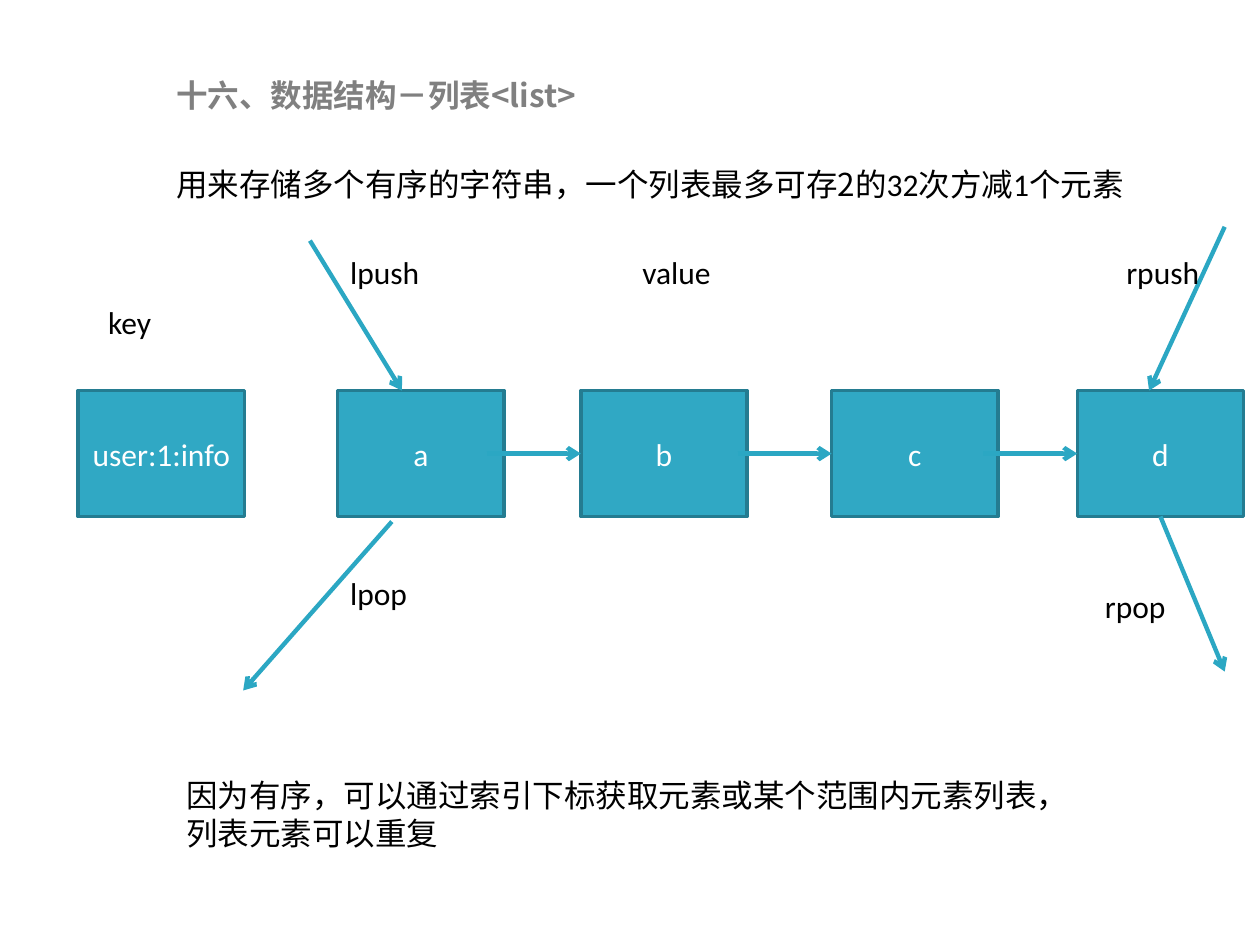
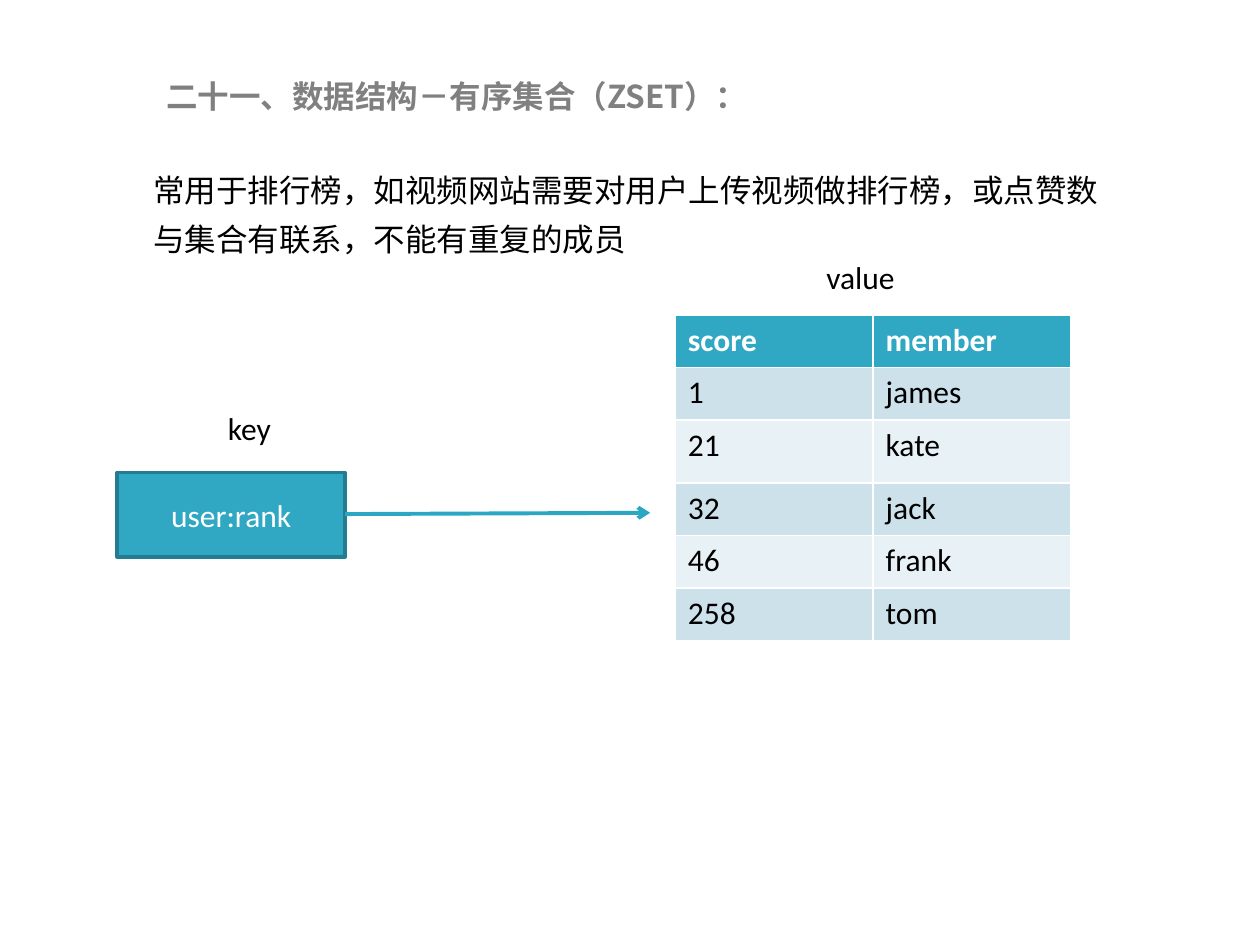
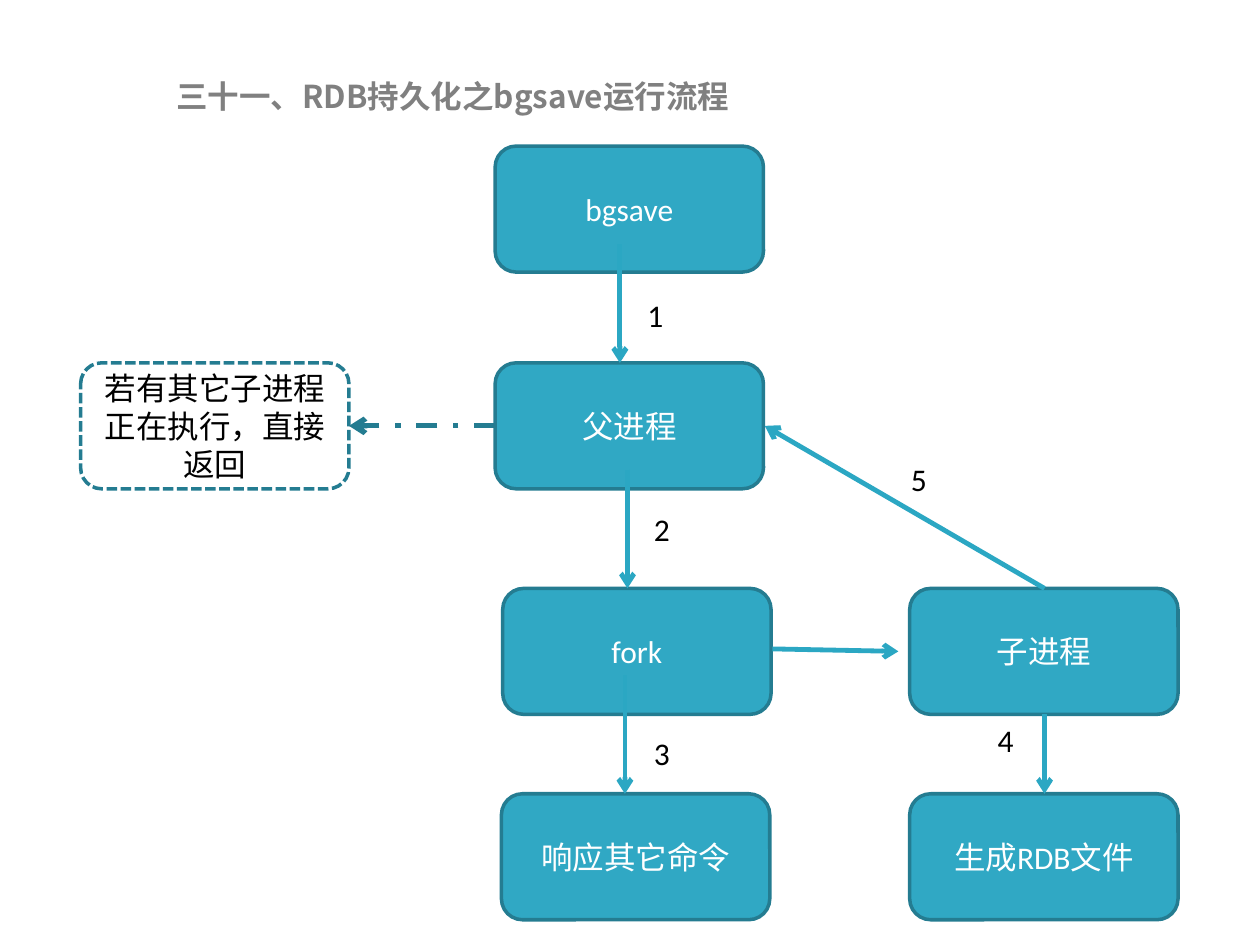
"""Builds three slides on list, sorted set and background save structures."""
from dataclasses import dataclass
from typing import Any, Optional

from lxml import etree
from pptx import Presentation
from pptx.dml.color import RGBColor
from pptx.enum.dml import MSO_LINE
from pptx.enum.shapes import MSO_CONNECTOR, MSO_SHAPE
from pptx.enum.text import MSO_ANCHOR, MSO_AUTO_SIZE, PP_ALIGN
from pptx.oxml.ns import qn
from pptx.util import Inches, Pt

RECT, ROUNDED = MSO_SHAPE.RECTANGLE, MSO_SHAPE.ROUNDED_RECTANGLE
STRAIGHT = MSO_CONNECTOR.STRAIGHT
SHORT_DASH, DASH_DOT = MSO_LINE.SQUARE_DOT, MSO_LINE.DASH_DOT
TOP, MIDDLE = MSO_ANCHOR.TOP, MSO_ANCHOR.MIDDLE
LEFT, CENTER = PP_ALIGN.LEFT, PP_ALIGN.CENTER
FIXED, GROW = MSO_AUTO_SIZE.NONE, MSO_AUTO_SIZE.SHAPE_TO_FIT_TEXT
COLUMNS, ROWS, TITLE_ONLY = 100, 75, 5


@dataclass(frozen=True)
class Theme:
    """Colours, fonts and sizes shared by the slides."""
    title: str = "808080"
    ink: str = "000000"
    paper: str = "FFFFFF"
    fill: str = "30A8C4"
    edge: str = "247C91"
    arrow: str = "2BA7C3"
    bands: tuple[str, str] = ("CDE1EA", "E8F1F5")
    latin: str = "Calibri"
    cjk: str = "Noto Sans CJK SC"
    size: float = 18
    edge_width: float = 2


@dataclass(frozen=True)
class Area:
    """A rectangle in grid columns and rows."""
    left: float
    top: float
    width: float
    height: float

    def emu(self) -> tuple[int, int, int, int]:
        """Return the rectangle in slide units."""
        return grid(self.left), grid(self.top), grid(self.width), grid(self.height)


@dataclass(frozen=True)
class Node:
    """A box with centred wording."""
    wording: str
    area: Area
    form: Any = RECT
    hollow: bool = False


@dataclass(frozen=True)
class Arrow:
    """An arrow between two grid points."""
    start: tuple[float, float]
    end: tuple[float, float]
    width: float = 2.5
    color: str = "2BA7C3"
    dash: Optional[Any] = None


@dataclass(frozen=True)
class Label:
    """A short caption beside the drawing."""
    wording: str
    left: float
    top: float
    width: float
    wrap: bool = True


THEME = Theme()


def grid(cells: float) -> int:
    """Convert grid cells, a tenth of an inch each, to slide units."""
    return Inches(cells / 10)


def apply(target: Any, formats: dict[str, Any]) -> None:
    """Set each format value on the target."""
    for attribute, value in formats.items():
        setattr(target, attribute, value)


def write(paragraph: Any, wording: str, color: str, font: str = THEME.latin, bold: bool = False) -> None:
    """Add one formatted run to a paragraph."""
    run = paragraph.add_run()
    run.text = wording
    run.font.color.rgb = RGBColor.from_string(color)
    apply(run.font, {"size": Pt(THEME.size), "bold": bold, "name": font})
    etree.SubElement(run.font._element, qn("a:ea"), typeface=THEME.cjk)


def add_title(slide: Any, wording: str, area: Area) -> None:
    """Fill and place the title placeholder."""
    title = slide.shapes.title
    apply(title, dict(zip(("left", "top", "width", "height"), area.emu())))
    frame = title.text_frame
    apply(frame, {"word_wrap": True, "auto_size": FIXED, "vertical_anchor": TOP})
    frame.paragraphs[0].alignment = LEFT
    write(frame.paragraphs[0], wording, THEME.title, THEME.cjk, True)


def add_prose(slide: Any, area: Area, lines: list[tuple[str, ...]], indent: float = 0,
              spacing: float = 1, wrap: bool = True, fonts: tuple[str, str] = (THEME.cjk, THEME.latin)) -> None:
    """Add a text box whose runs alternate between two fonts."""
    frame = slide.shapes.add_textbox(*area.emu()).text_frame
    apply(frame, {"word_wrap": wrap, "auto_size": GROW})
    for number, runs in enumerate(lines):
        paragraph = frame.add_paragraph() if number else frame.paragraphs[0]
        paragraph.line_spacing = spacing
        paragraph._p.get_or_add_pPr().set("indent", str(grid(indent)))
        for position, wording in enumerate(runs):
            write(paragraph, wording, THEME.ink, fonts[position % 2])


def add_label(slide: Any, label: Label) -> None:
    """Add a caption in the Latin font."""
    area = Area(label.left, label.top, label.width, 4)
    add_prose(slide, area, [(label.wording,)], wrap=label.wrap, fonts=(THEME.latin, THEME.latin))


def add_node(slide: Any, node: Node) -> None:
    """Add a solid box, or a dashed hollow one."""
    box = slide.shapes.add_shape(node.form, *node.area.emu())
    box.shadow.inherit = False
    box.line.color.rgb = RGBColor.from_string(THEME.edge)
    box.line.width = Pt(THEME.edge_width)
    if node.hollow:
        box.fill.background()
        box.line.dash_style = SHORT_DASH
    else:
        box.fill.solid()
        box.fill.fore_color.rgb = RGBColor.from_string(THEME.fill)
    apply(box.text_frame, {"word_wrap": True, "vertical_anchor": MIDDLE})
    paragraph = box.text_frame.paragraphs[0]
    paragraph.alignment = CENTER
    write(paragraph, node.wording, THEME.ink if node.hollow else THEME.paper)


def add_arrow(slide: Any, arrow: Arrow) -> None:
    """Add a straight arrow with an open head."""
    points = [grid(value) for value in arrow.start + arrow.end]
    connector = slide.shapes.add_connector(STRAIGHT, *points)
    connector.line.color.rgb = RGBColor.from_string(arrow.color)
    apply(connector.line, {"width": Pt(arrow.width), "dash_style": arrow.dash})
    etree.SubElement(connector.line._get_or_add_ln(), qn("a:tailEnd"), type="arrow")
    etree.SubElement(connector._element.spPr, qn("a:effectLst"))


def add_drawing(slide: Any, nodes: list[Node], arrows: list[Arrow], labels: list[Label]) -> None:
    """Add boxes, then arrows, then captions."""
    for draw, parts in ((add_node, nodes), (add_arrow, arrows), (add_label, labels)):
        for part in parts:
            draw(slide, part)


def add_ranking(slide: Any, area: Area, records: list[tuple[str, str]], heights: list[float]) -> None:
    """Add the score table with a header and banded rows."""
    table = slide.shapes.add_table(len(records), len(records[0]), *area.emu()).table
    for row, (record, height) in enumerate(zip(records, heights)):
        table.rows[row].height = grid(height)
        for column, wording in enumerate(record):
            cell = table.cell(row, column)
            cell.fill.solid()
            band = THEME.bands[(row - 1) % 2] if row else THEME.fill
            cell.fill.fore_color.rgb = RGBColor.from_string(band)
            write(cell.text_frame.paragraphs[0], wording,
                  THEME.ink if row else THEME.paper, bold=not row)


def build_list(slide: Any) -> None:
    """Draw the list structure."""
    add_title(slide, "十六、数据结构－列表<list>", Area(13, 5.5, 34.6, 7.1))
    add_prose(slide, Area(13, 12.6, 81.2, 4),
              [("用来存储多个有序的字符串，一个列表最多可存2的", "32", "次方减", "1", "个元素")])
    items = dict(zip("abcd", (26.8, 46.1, 66, 85.5)))
    nodes = [Node(wording, Area(left, 31, 13.2, 10))
             for wording, left in {"user:1:info": 6.2, **items}.items()]
    links = [Arrow((left - 7.45, 36), (left, 36)) for left in list(items.values())[1:]]
    moves = [Arrow((24.6, 19.1), (31.9, 31)), Arrow((31.1, 41.4), (19.3, 54.8)),
             Arrow((97.2, 18), (91.2, 31)), Arrow((92.1, 41), (97.2, 53.3))]
    captions = [("key", 7.6, 23.6, 5.4), ("value", 50, 19.6, 7.4), ("lpush", 26.8, 19.6, 7.5),
                ("lpop", 26.8, 45.1, 6.5), ("rpush", 88.4, 19.6, 7.8), ("rpop", 86.7, 46.1, 6.8)]
    add_drawing(slide, nodes, moves + links, [Label(*caption, wrap=False) for caption in captions])
    add_prose(slide, Area(13.8, 61.1, 80.4, 7.1),
              [("因为有序，可以通过索引下标获取元素或某个范围内元素列表，",), ("列表元素可以重复",)])


def build_sorted_set(slide: Any) -> None:
    """Draw the sorted set structure."""
    add_title(slide, "二十一、数据结构－有序集合（ZSET）：", Area(12.2, 5.6, 49, 4))
    add_prose(slide, Area(5.4, 12.2, 84.3, 8.9),
              [("常用于排行榜，如视频网站需要对用户上传视频做排行榜，或点赞数",),
               ("与集合有联系，不能有重复的成员",)], indent=5.8, spacing=1.3)
    records = [("score", "member"), ("1", "james"), ("21", "kate"),
               ("32", "jack"), ("46", "frank"), ("258", "tom")]
    add_ranking(slide, Area(53.6, 25, 31.4, 26), records, [4.17, 4.17, 5, 4.17, 4.17, 4.17])
    add_drawing(slide, [Node("user:rank", Area(9.3, 37.5, 18.1, 6.7))],
                [Arrow((27.4, 40.8), (51.6, 40.7), 2.25)],
                [Label("key", 17.1, 32, 9.4), Label("value", 64.6, 20, 9.4)])


def build_bgsave(slide: Any) -> None:
    """Draw the background save flow."""
    add_title(slide, "三十一、RDB持久化之bgsave运行流程", Area(13, 5.6, 46.3, 4))
    steps = [("bgsave", 39.3, 11.6), ("父进程", 39.3, 28.8), ("fork", 39.9, 46.7),
             ("响应其它命令", 39.8, 63), ("子进程", 72.2, 46.7), ("生成RDB文件", 72.2, 63),
             ("若有其它子进程正在执行，直接返回", 6.4, 28.8)]
    nodes = [Node(wording, Area(left, top, 21.3, 10), ROUNDED, hollow=left < 10)
             for wording, left, top in steps]
    routes = [((49.2, 19.4), (49.2, 28.8)), ((49.8, 37.3), (49.8, 46.7)),
              ((49.6, 53.6), (49.6, 63)), ((61.3, 51.5), (71.3, 51.7)),
              ((82.9, 46.7), (60.7, 33.8)), ((82.9, 56.7), (82.9, 63))]
    arrows = [Arrow(start, end, 2.75) for start, end in routes]
    arrows.append(Arrow((39.3, 33.8), (27.7, 33.8), 3, THEME.edge, DASH_DOT))
    places = [(50.4, 23), (50.9, 40), (50.9, 57.8), (78.2, 56.7), (71.3, 36)]
    labels = [Label(str(number), left, top, 13.8) for number, (left, top) in enumerate(places, 1)]
    add_drawing(slide, nodes, arrows, labels)


def main() -> None:
    """Build and save the presentation."""
    deck = Presentation()
    apply(deck, {"slide_width": grid(COLUMNS), "slide_height": grid(ROWS)})
    for build in (build_list, build_sorted_set, build_bgsave):
        build(deck.slides.add_slide(deck.slide_layouts[TITLE_ONLY]))
    deck.save("out.pptx")


if __name__ == "__main__":
    main()
